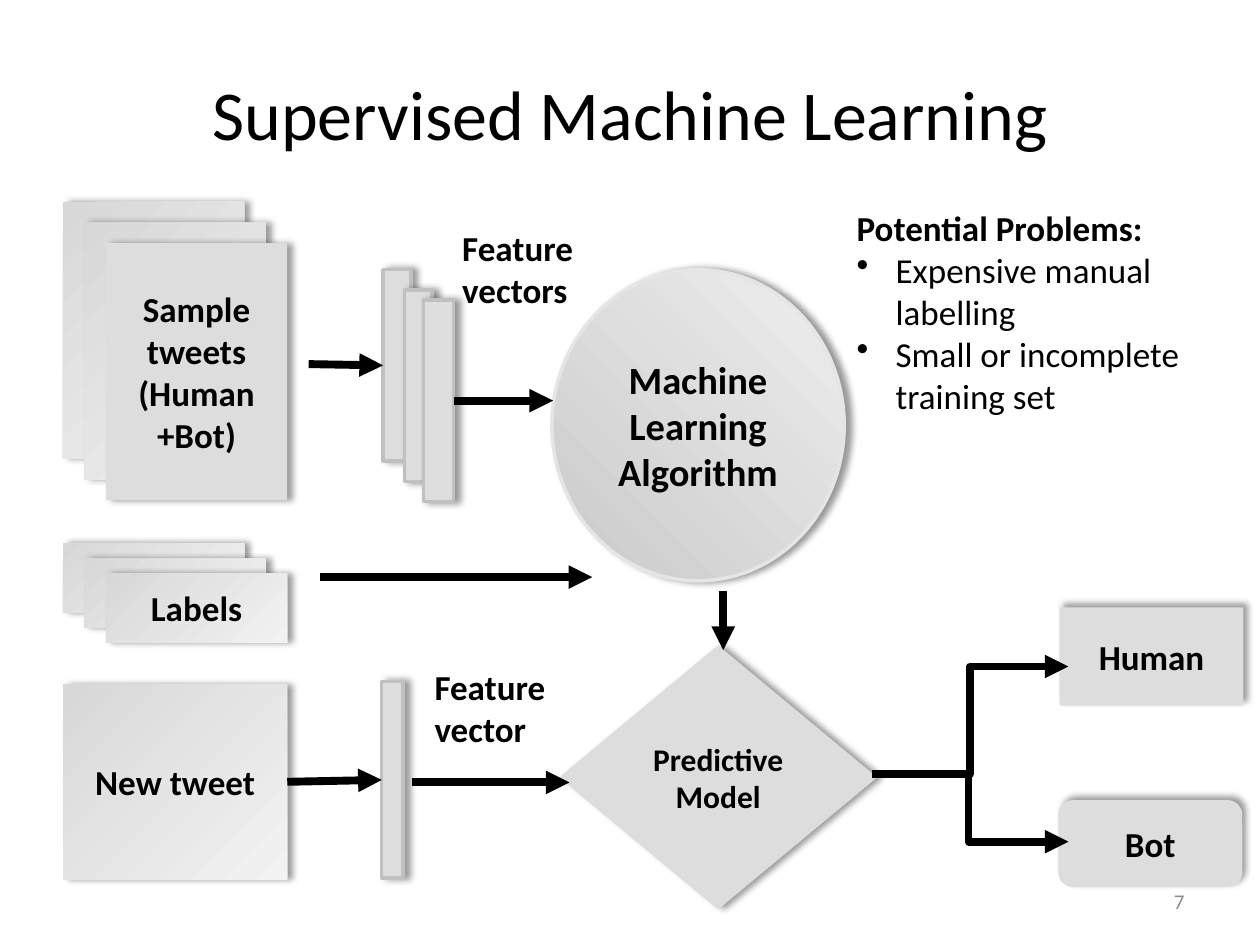
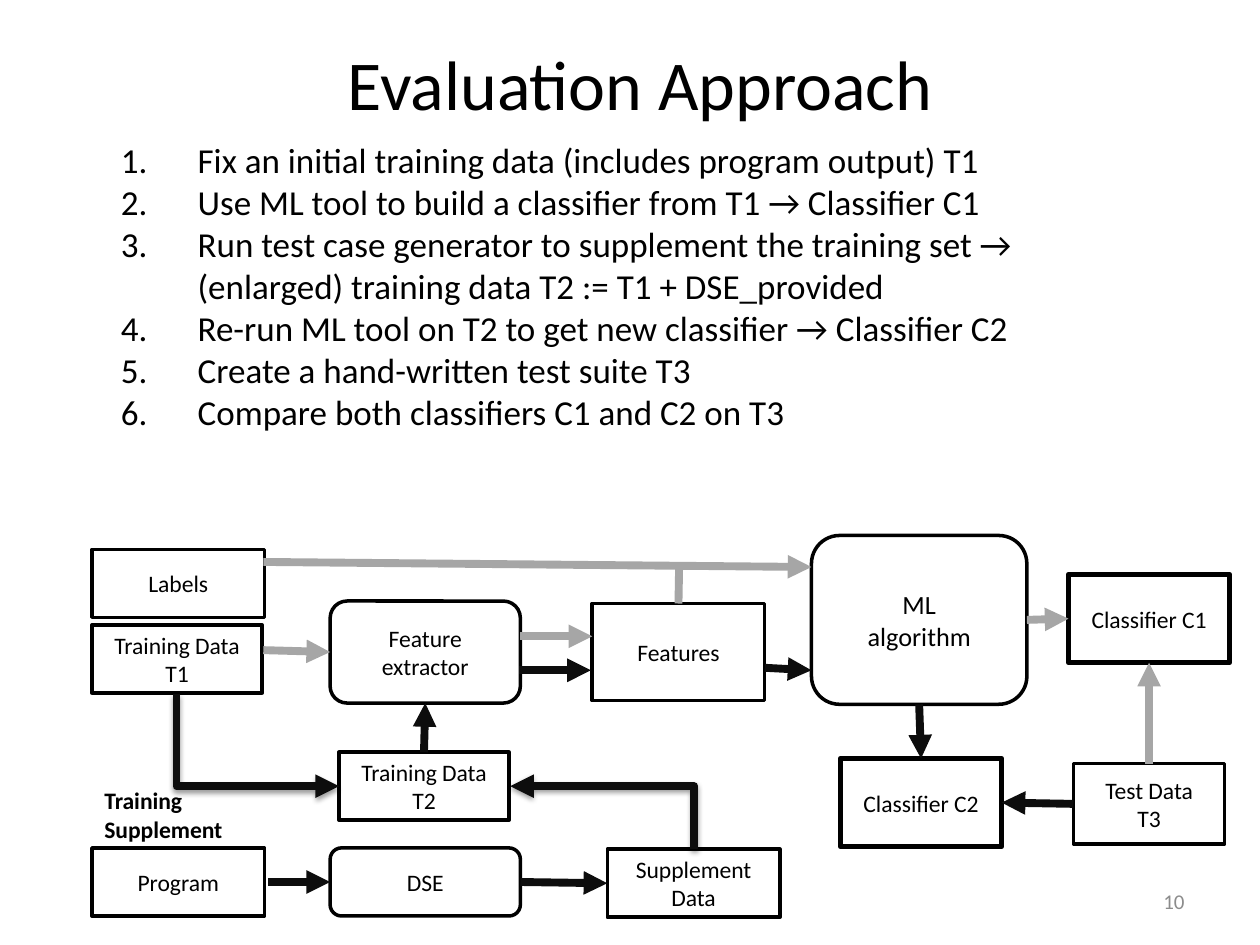
from dataclasses import dataclass
from typing import NamedTuple, Optional, Union

from lxml.etree import SubElement
from pptx import Presentation
from pptx.dml.color import RGBColor
from pptx.enum.shapes import MSO_CONNECTOR as Route, MSO_SHAPE as Kind
from pptx.enum.text import MSO_ANCHOR as Anchor, PP_ALIGN as Align
from pptx.oxml.ns import qn
from pptx.util import Emu, Inches, Pt

FONT = "Calibri"
BLACK = RGBColor(0x00, 0x00, 0x00)
INK = RGBColor(0x0D, 0x0D, 0x0D)
WHITE = RGBColor(0xFF, 0xFF, 0xFF)
GREY = RGBColor(0xA6, 0xA6, 0xA6)
PAGE_GREY = RGBColor(0x8C, 0x8C, 0x8C)
PANEL = RGBColor(0xDD, 0xDD, 0xDD)
EDGE = RGBColor(0xC0, 0xC0, 0xC0)
RIM = RGBColor(0xE5, 0xE5, 0xE5)
SHEET = (RGBColor(0xD8, 0xD8, 0xD8), RGBColor(0xF2, 0xF2, 0xF2))
DISC = (RGBColor(0xCA, 0xCA, 0xCA), RGBColor(0xEE, 0xEE, 0xEE))

SLIDE_WIDTH, SLIDE_HEIGHT = Inches(10), Inches(7.5)
COLUMNS, ROWS = 100, 75
TOP, LEFT, BOTTOM, RIGHT = range(4)


class Box(NamedTuple):
    left: float
    top: float
    width: float
    height: float


class Point(NamedTuple):
    x: float
    y: float


class Side(NamedTuple):
    block: str
    index: int


class Shadow(NamedTuple):
    alpha: int
    blur: float
    distance: float
    direction: int


End = Union[Point, Side]
SOFT = Shadow(40, 4, 3, 0)
RAISED = Shadow(40, 4, 3, 315)
BELOW = Shadow(38, 3.1, 1.6, 90)


@dataclass
class Block:
    name: str
    box: Box
    text: str = ""
    kind: Kind = Kind.RECTANGLE
    size: float = 20
    bold: bool = True
    fill: tuple = (PANEL,)
    line: Optional[RGBColor] = None
    weight: float = 2
    shadow: Optional[Shadow] = SOFT


@dataclass
class Link:
    start: End
    end: End
    color: RGBColor = BLACK
    arrow: bool = True
    elbow: bool = False
    bend: Optional[float] = None


@dataclass
class Corner:
    start: Point
    end: Point


@dataclass
class Label:
    box: Box
    text: str
    size: float = 20
    bold: bool = False
    color: RGBColor = BLACK
    align: Align = Align.LEFT
    anchor: Anchor = Anchor.TOP


@dataclass
class Listing:
    first: int
    margin: float
    hanging: float
    marker: str
    attributes: dict


def across(columns: float) -> Emu:
    return Emu(round(SLIDE_WIDTH * columns / COLUMNS))


def down(rows: float) -> Emu:
    return Emu(round(SLIDE_HEIGHT * rows / ROWS))


def place(box: Box) -> tuple:
    return across(box.left), down(box.top), across(box.width), down(box.height)


def write(text_frame, text: str, size: float, bold: bool, color: RGBColor, align: Align) -> None:
    text_frame.word_wrap = True
    text_frame.text = text
    for paragraph in text_frame.paragraphs:
        paragraph.alignment = align
        for run in paragraph.runs:
            run.font.name = FONT
            run.font.size = Pt(size)
            run.font.bold = bold
            run.font.color.rgb = color


def cast(effects, shadow: Shadow) -> None:
    outer = SubElement(effects, qn("a:outerShdw"), blurRad=str(Pt(shadow.blur)),
                       dist=str(Pt(shadow.distance)), dir=str(shadow.direction * 60000),
                       algn="tl", rotWithShape="0")
    color = SubElement(outer, qn("a:srgbClr"), val=str(BLACK))
    SubElement(color, qn("a:alpha"), val=str(shadow.alpha * 1000))


def paint(shape, colors: tuple, radial: bool) -> None:
    if len(colors) == 1:
        shape.fill.solid()
        shape.fill.fore_color.rgb = colors[0]
        return
    shape.fill.gradient()
    shape.fill.gradient_angle = 315
    for stop, color in zip(shape.fill.gradient_stops, colors):
        stop.color.rgb = color
    if radial:
        gradient = shape._element.spPr.find(qn("a:gradFill"))
        gradient.remove(gradient.find(qn("a:lin")))
        focus = SubElement(gradient, qn("a:path"), {"path": "circle"})
        SubElement(focus, qn("a:fillToRect"), t="100000", r="100000")


def draw_block(slide, block: Block):
    shape = slide.shapes.add_shape(block.kind, *place(block.box))
    shape.shadow.inherit = False
    if block.shadow:
        cast(shape._element.spPr.find(qn("a:effectLst")), block.shadow)
    paint(shape, block.fill, block.kind == Kind.OVAL)
    if block.line is None:
        shape.line.fill.background()
    else:
        shape.line.color.rgb = block.line
        shape.line.width = Pt(block.weight)
    if block.text:
        frame = shape.text_frame
        frame.vertical_anchor = Anchor.MIDDLE
        frame.margin_left = frame.margin_right = Inches(0.07)
        frame.margin_top = frame.margin_bottom = Inches(0.04)
        write(frame, block.text, block.size, block.bold, BLACK, Align.CENTER)
    return shape


def draw_label(slide, label: Label):
    frame = slide.shapes.add_textbox(*place(label.box)).text_frame
    frame.vertical_anchor = label.anchor
    write(frame, label.text, label.size, label.bold, label.color, label.align)
    return frame


def mark(text_frame, listing: Listing) -> None:
    for paragraph in text_frame.paragraphs[listing.first:]:
        properties = paragraph._p.get_or_add_pPr()
        properties.set("marL", str(across(listing.margin)))
        properties.set("indent", str(-across(listing.hanging)))
        SubElement(properties, qn(listing.marker), listing.attributes)


def locate(end: End, shapes: dict) -> tuple:
    if isinstance(end, Point):
        return across(end.x), down(end.y)
    shape = shapes[end.block]
    share_x, share_y = ((0.5, 0), (0, 0.5), (0.5, 1), (1, 0.5))[end.index]
    return (Emu(round(shape.left + shape.width * share_x)),
            Emu(round(shape.top + shape.height * share_y)))


def style_line(connector, color: RGBColor, arrow: bool, shadow: Optional[Shadow] = None) -> None:
    connector.line.color.rgb = color
    connector.line.width = Pt(4.5)
    properties = connector._element.spPr
    if arrow:
        SubElement(properties.find(qn("a:ln")), qn("a:tailEnd"), type="triangle")
    effects = SubElement(properties, qn("a:effectLst"))
    if shadow:
        cast(effects, shadow)


def draw_link(slide, link: Link, shapes: dict) -> None:
    route = Route.ELBOW if link.elbow else Route.STRAIGHT
    connector = slide.shapes.add_connector(
        route, *locate(link.start, shapes), *locate(link.end, shapes))
    if isinstance(link.start, Side):
        connector.begin_connect(shapes[link.start.block], link.start.index)
    if isinstance(link.end, Side):
        connector.end_connect(shapes[link.end.block], link.end.index)
    style_line(connector, link.color, link.arrow)
    if link.bend is not None:
        guides = connector._element.spPr.find(qn("a:prstGeom")).find(qn("a:avLst"))
        SubElement(guides, qn("a:gd"), name="adj1", fmla=f"val {round(link.bend * 100000)}")


def draw_corner(slide, corner: Corner) -> None:
    start, end = corner.start, corner.end
    middle_x, middle_y = (start.x + end.x) / 2, (start.y + end.y) / 2
    turn_x, turn_y = middle_y - start.y, start.x - middle_x
    connector = slide.shapes.add_connector(
        Route.ELBOW, across(middle_x + turn_x), down(middle_y + turn_y),
        across(middle_x - turn_x), down(middle_y - turn_y))
    properties = connector._element.spPr
    properties.find(qn("a:prstGeom")).set("prst", "bentConnector2")
    properties.find(qn("a:xfrm")).set("rot", str(270 * 60000))
    style_line(connector, INK, True, BELOW)


def stack(name: str, box: Box, row_step: float, text: str, front: tuple) -> list[Block]:
    return [Block(f"{name} {layer}", box._replace(left=box.left + 1.7 * layer,
                                                  top=box.top + row_step * layer),
                  text if layer == 2 else "", fill=front if layer == 2 else SHEET)
            for layer in range(3)]


def start_slide(presentation, title: str, title_box: Box, number: int):
    slide = presentation.slides.add_slide(presentation.slide_layouts[6])
    draw_label(slide, Label(title_box, title, 40, align=Align.CENTER, anchor=Anchor.MIDDLE))
    draw_label(slide, Label(Box(71.7, 69.5, 23.3, 4), str(number), 12, color=PAGE_GREY,
                            align=Align.RIGHT, anchor=Anchor.MIDDLE))
    return slide


def build_learning(presentation) -> None:
    slide = start_slide(presentation, "Supervised Machine Learning", Box(5, 2.7, 90, 12.5), 7)
    problems = Label(Box(67, 15.9, 31.8, 21), "Potential Problems:\n"
                     "Expensive manual labelling\nSmall or incomplete training set")
    frame = draw_label(slide, problems)
    frame.paragraphs[0].runs[0].font.bold = True
    mark(frame, Listing(1, 3.1, 3.1, "a:buChar", {"char": "•"}))

    vectors = (Box(30.4, 21.4, 2.2, 15.2), Box(32.1, 23, 2.2, 15.2),
               Box(33.6, 23.8, 2.4, 16), Box(30.3, 54.1, 1.7, 15.6))
    blocks = [
        *stack("tweets", Box(5, 16, 14.4, 20.4), 1.65, "Sample\ntweets\n(Human +Bot)", (PANEL,)),
        *stack("labels", Box(5, 43.1, 14.4, 5.5), 1.2, "Labels", SHEET),
        Block("algorithm", Box(43.8, 21.4, 23.2, 24.7), "Machine\nLearning\nAlgorithm",
              Kind.OVAL, 22, fill=DISC, line=RIM),
        Block("human", Box(84.1, 48.2, 14.6, 7.8), "Human", shadow=RAISED),
        Block("bot", Box(84, 63.5, 14.6, 6.9), "Bot", Kind.ROUNDED_RECTANGLE, shadow=RAISED),
        Block("new tweet", Box(5, 54.3, 17.8, 15.5), "New tweet", fill=SHEET),
        *(Block(f"vector {index}", box, line=EDGE) for index, box in enumerate(vectors)),
        Block("model", Box(44.6, 51.4, 24.8, 20.6), "Predictive Model", Kind.DIAMOND, 18,
              line=PANEL),
    ]
    shapes = {block.name: draw_block(slide, block) for block in blocks}
    for link in (
        Link(Point(24.5, 28.9), Side("vector 0", LEFT)),
        Link(Side("vector 2", RIGHT), Point(43.9, 31.8)),
        Link(Point(25.4, 45.8), Point(47, 45.8)),
        Link(Side("new tweet", RIGHT), Side("vector 3", LEFT)),
        Link(Point(32.7, 62.1), Point(45.2, 62.1)),
        Link(Point(57.4, 46.9), Point(57.4, 51.6)),
        Link(Point(69.2, 61.4), Point(84.8, 52.9), elbow=True),
        Link(Point(77.1, 61.7), Point(84.8, 66.8), elbow=True, bend=-0.03),
    ):
        draw_link(slide, link, shapes)
    draw_label(slide, Label(Box(35.7, 17.5, 12.9, 7.7), "Feature\nvectors", bold=True))
    draw_label(slide, Label(Box(33.5, 52.3, 10.9, 7.7), "Feature\nvector", bold=True))


def build_evaluation(presentation) -> None:
    slide = start_slide(presentation, "Evaluation Approach", Box(5.8, 0.3, 90, 12.5), 10)
    steps = (
        "Fix an initial training data (includes program output) T1",
        "Use ML tool to build a classifier from T1 → Classifier C1",
        "Run test case generator to supplement the training set → "
        "(enlarged) training data T2 := T1 + DSE_provided",
        "Re-run ML tool on T2 to get new classifier → Classifier C2",
        "Create a hand-written test suite T3",
        "Compare both classifiers C1 and C2 on T3",
    )
    frame = draw_label(slide, Label(Box(4.8, 10.5, 86.9, 24.5), "\n".join(steps)))
    mark(frame, Listing(0, 9.9, 6.1, "a:buAutoNum", {"type": "arabicPeriod"}))

    plain, rounded = Kind.RECTANGLE, Kind.ROUNDED_RECTANGLE
    shapes = {}
    for name, box, text, kind, size, weight in (
        ("labels", Box(7.3, 43.6, 13.7, 5.4), "Labels", plain, 13.5, 2),
        ("T1", Box(7.3, 49.6, 13.5, 5.4), "Training Data T1", plain, 13.5, 2),
        ("extractor", Box(26.2, 47.7, 15.1, 8.1), "Feature\nextractor", rounded, 13.5, 2),
        ("features", Box(47, 47.9, 13.7, 7.7), "Features", plain, 13.5, 2),
        ("program", Box(7.3, 67.3, 13.7, 5.4), "Program", plain, 13.5, 2),
        ("DSE", Box(26.2, 67.3, 15.1, 5.4), "DSE", rounded, 13.5, 2),
        ("supplement", Box(48.2, 67.4, 13.7, 5.4), "Supplement Data", plain, 13.5, 2),
        ("algorithm", Box(64.4, 42.5, 17.1, 13.4), "ML\nalgorithm", rounded, 15, 2),
        ("C1", Box(84.8, 45.6, 12.8, 7), "Classifier C1", plain, 13.5, 3),
        ("T3", Box(85.2, 60.6, 12, 6.4), "Test Data\nT3", plain, 13.5, 2),
        ("T2", Box(26.9, 59.7, 13.5, 5.4), "Training Data T2", plain, 13.5, 2),
        ("C2", Box(66.7, 60.2, 12.8, 7), "Classifier C2", plain, 13.5, 3),
    ):
        shapes[name] = draw_block(slide, Block(name, box, text, kind, size, False, (WHITE,),
                                               BLACK, weight, None))
    for link in (
        Link(Point(20.9, 44.6), Point(64.4, 45), GREY),
        Link(Point(53.9, 45), Side("features", TOP), GREY, arrow=False),
        Link(Point(20.9, 51.6), Side("extractor", LEFT), GREY),
        Link(Point(21.3, 70), Side("DSE", LEFT), INK),
        Link(Side("DSE", RIGHT), Side("supplement", LEFT), INK),
        Link(Point(41.3, 50.5), Point(47, 50.5), GREY),
        Link(Side("algorithm", RIGHT), Side("C1", LEFT), GREY),
        Link(Side("algorithm", BOTTOM), Side("C2", TOP), INK),
        Link(Side("T2", TOP), Side("extractor", BOTTOM), INK),
        Link(Side("T3", TOP), Side("C1", BOTTOM), GREY),
        Link(Side("T3", LEFT), Side("C2", RIGHT), INK),
        Link(Point(41.2, 53.2), Point(46.9, 53.2), INK),
        Link(Point(60.7, 53), Point(64.4, 53.2), INK),
    ):
        draw_link(slide, link, shapes)
    for corner in (Corner(Point(14, 55.1), Point(26.9, 62.4)),
                   Corner(Point(55.1, 67.4), Point(40.5, 62.4))):
        draw_corner(slide, corner)
    draw_label(slide, Label(Box(7.3, 61.9, 13.5, 5.6), "Training\nSupplement", 13.5, True))


def main() -> None:
    presentation = Presentation()
    presentation.slide_width, presentation.slide_height = SLIDE_WIDTH, SLIDE_HEIGHT
    build_learning(presentation)
    build_evaluation(presentation)
    presentation.save("out.pptx")


if __name__ == "__main__":
    main()
